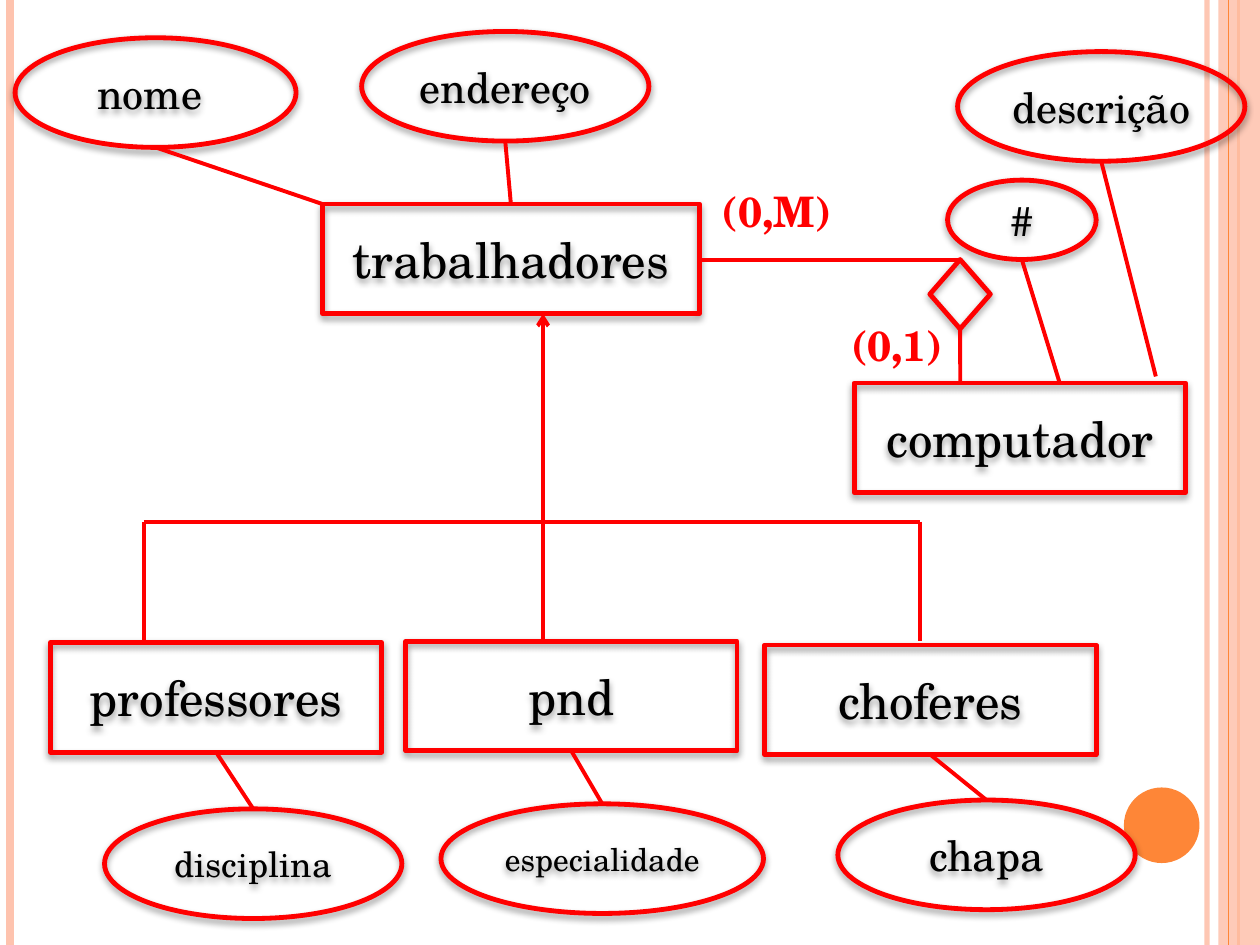
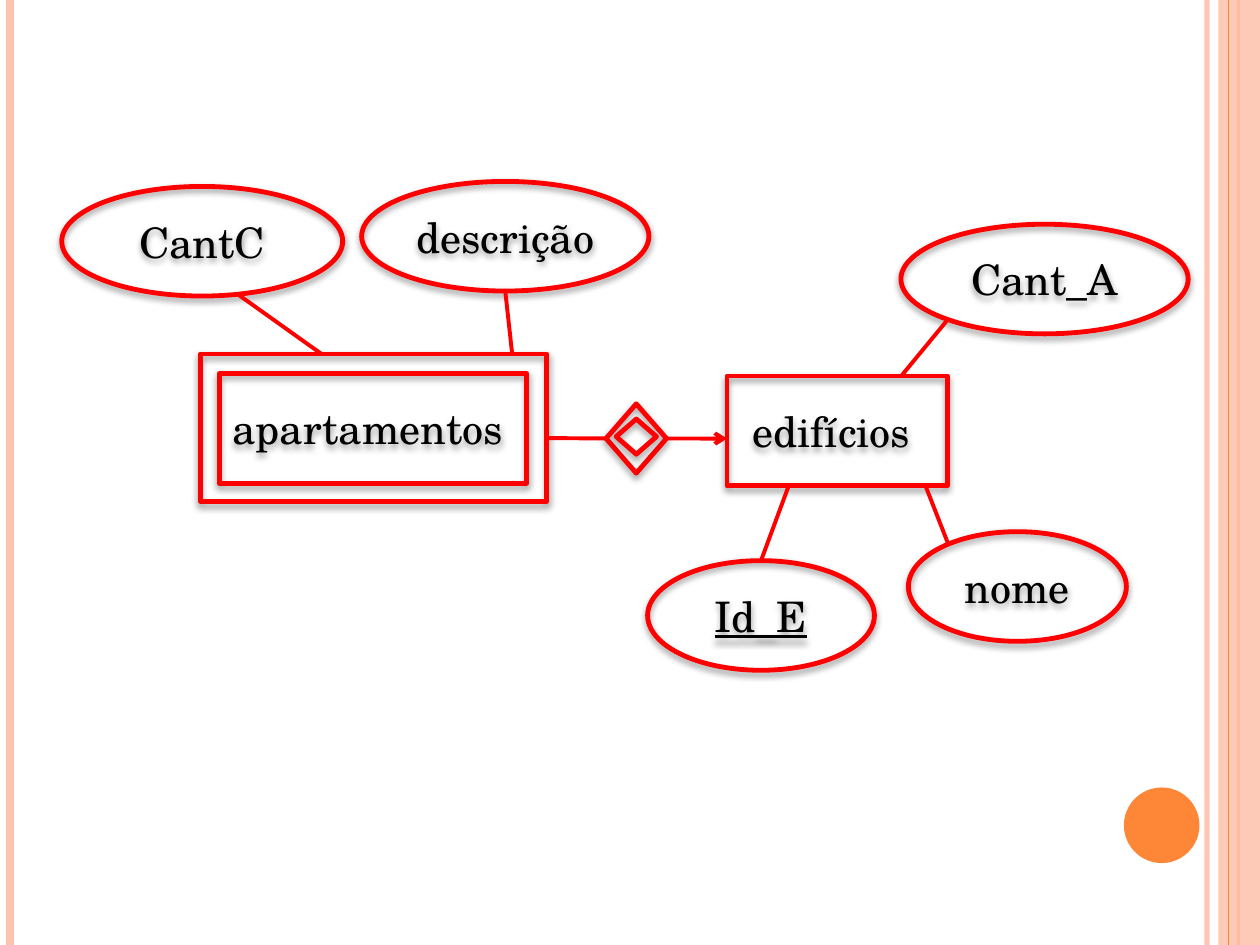
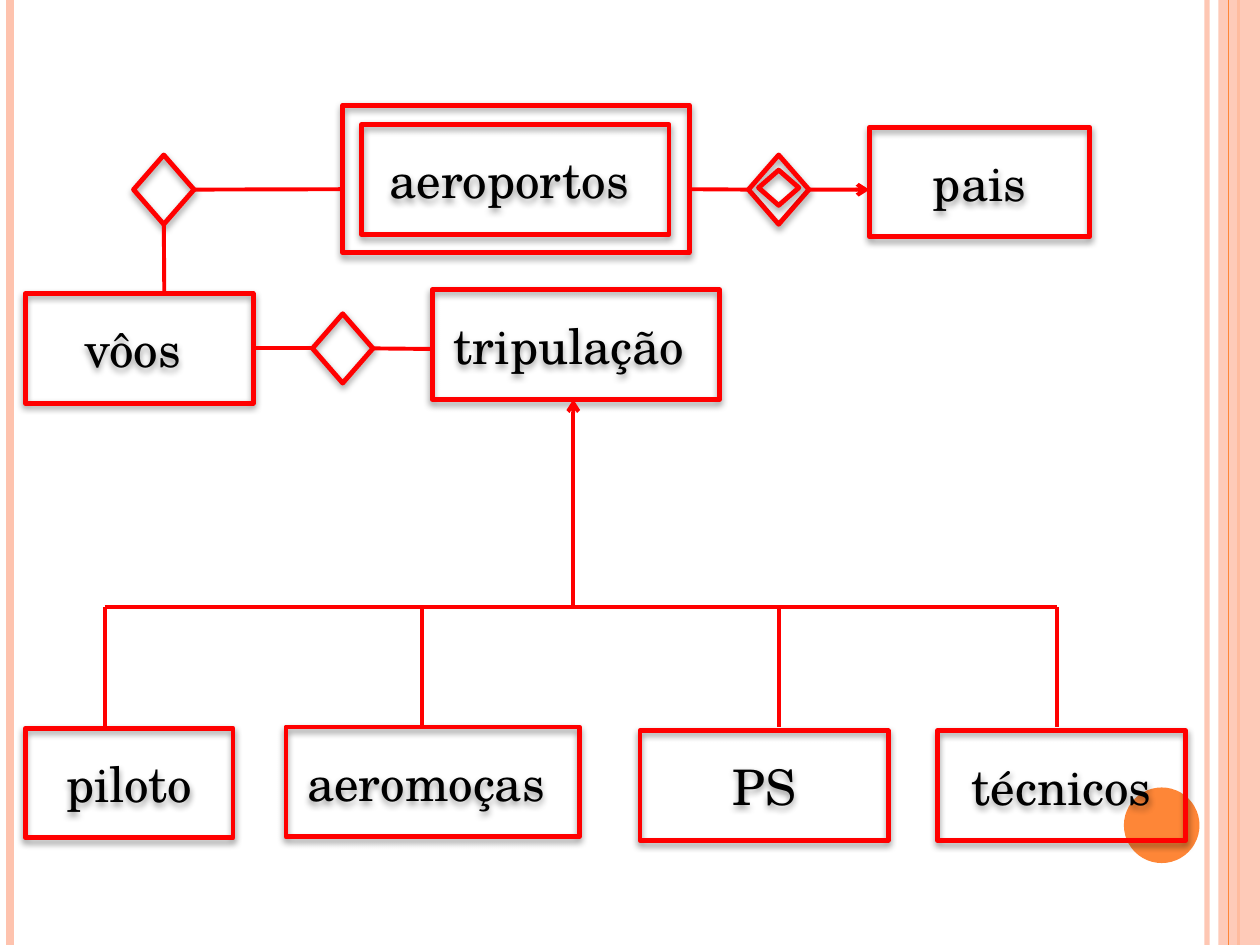
from dataclasses import dataclass

from lxml import etree
from pptx import Presentation
from pptx import util as u
from pptx.dml.color import RGBColor
from pptx.enum import shapes, text
from pptx.oxml import ns

RED = RGBColor(0xFF, 0x00, 0x00)
BLACK = RGBColor(0x00, 0x00, 0x00)
PEACH = RGBColor(0xFE, 0xC3, 0xAE)
ORANGE = RGBColor(0xFE, 0x86, 0x37)
FONT = "TeX Gyre Schola"

SLIDE_WIDTH, SLIDE_HEIGHT = u.Inches(10), u.Inches(7.5)
COLUMNS, ROWS = 100, 75
NODE_HEIGHT = 8.7
DIAMOND = (4.8, 5.5)

RECTANGLE = shapes.MSO_SHAPE.RECTANGLE
ELLIPSE = shapes.MSO_SHAPE.OVAL
RHOMBUS = shapes.MSO_SHAPE.DIAMOND


@dataclass(frozen=True)
class Box:
    """An area measured in grid columns and rows."""
    left: float
    top: float
    width: float
    height: float = NODE_HEIGHT

    def inner(self, left, top, width, height=NODE_HEIGHT):
        return Box(self.left + left, self.top + top, width, height)

    def point(self, across, down):
        """Grid point at the given shares of the width and height."""
        return self.left + across * self.width, self.top + down * self.height


def column(count):
    return round(SLIDE_WIDTH * count / COLUMNS)


def row(count):
    return round(SLIDE_HEIGHT * count / ROWS)


def place(box):
    return column(box.left), row(box.top), column(box.width), row(box.height)


def child(parent, tag, **attributes):
    return etree.SubElement(parent, ns.qn(tag), **attributes)


def set_opacity(properties, percent):
    for colour in properties.iter(ns.qn("a:srgbClr")):
        child(colour, "a:alpha", val=str(percent * 1000))


def add_drop_shadow(shape):
    effects = shape.element.spPr.find(ns.qn("a:effectLst"))
    shadow = child(effects, "a:outerShdw", blurRad=str(u.Pt(4)), dist=str(u.Pt(2)),
                   dir="5400000", rotWithShape="0")
    colour = child(shadow, "a:srgbClr", val=str(BLACK))
    child(colour, "a:alpha", val="40000")


def write(shape, words, size, colour, bold=None, underline=None):
    shape.text_frame.text = words
    para = shape.text_frame.paragraphs[0]
    for span in para.runs:
        font = span.font
        font.name, font.size, font.color.rgb = FONT, u.Pt(size), colour
        font.bold, font.underline = bold, underline
    return para


def node(page, kind, box, words="", size=24, underline=None):
    """Draw a red outlined figure of the diagram and return its box."""
    shape = page.shapes.add_shape(kind, *place(box))
    shape.fill.background()
    shape.line.color.rgb = RED
    shape.line.width = u.Pt(2.75)
    shape.shadow.inherit = False
    add_drop_shadow(shape)
    if words:
        para = write(shape, words, size, BLACK, underline=underline)
        para.alignment = text.PP_ALIGN.CENTER
        shape.text_frame.vertical_anchor = text.MSO_ANCHOR.MIDDLE
    return box


def entity(page, box, words, size=28):
    return node(page, RECTANGLE, box, words, size)


def attribute(page, box, words, size=24, underline=None):
    return node(page, ELLIPSE, box, words, size, underline)


def link(page, start, end, arrow=False, colour=RED, width=2.25, opacity=None):
    connector = page.shapes.add_connector(
        shapes.MSO_CONNECTOR.STRAIGHT,
        column(start[0]), row(start[1]), column(end[0]), row(end[1]))
    connector.line.color.rgb = colour
    connector.line.width = u.Pt(width)
    properties = connector.element.spPr
    if opacity:
        set_opacity(properties, opacity)
    if arrow:
        child(properties.find(ns.qn("a:ln")), "a:tailEnd", type="arrow")
    child(properties, "a:effectLst")


def cardinality(page, box, words):
    label = page.shapes.add_textbox(*place(box))
    label.text_frame.word_wrap = False
    label.text_frame.auto_size = text.MSO_AUTO_SIZE.SHAPE_TO_FIT_TEXT
    write(label, words, 24, RED, bold=True)


def solid(page, kind, box, colour):
    shape = page.shapes.add_shape(kind, *place(box))
    shape.fill.solid()
    shape.fill.fore_color.rgb = colour
    shape.line.fill.background()
    shape.shadow.inherit = False
    return shape


def side_bands(page, box):
    """Draw the vertical stripes and the round page mark."""
    def stripe(left, colour, width, opacity=None):
        start = box.left + left, box.top
        link(page, start, (start[0], box.top + box.height),
             colour=colour, width=width, opacity=opacity)

    stripe(95.8, PEACH, 3, 93)
    stripe(0.8, PEACH, 4.5)
    stripe(98.3, ORANGE, 1.5)
    band = solid(page, RECTANGLE, box.inner(96.7, 0, 3.3, box.height), PEACH)
    set_opacity(band.element.spPr, 87)
    stripe(97.5, ORANGE, 0.75)
    solid(page, ELLIPSE, box.inner(89.2, 62.5, 6, 6), ORANGE)


def specialization(page, box, drops, arrow_column, arrow_rows):
    """Draw a bar on top of the box, its drops, and the arrow to the parent."""
    link(page, box.point(0, 0), box.point(1, 0))
    for drop in drops:
        left = box.left + drop
        link(page, (left, box.top), (left, box.top + box.height))
    left = box.left + arrow_column
    start, end = (box.top + offset for offset in arrow_rows)
    link(page, (left, start), (left, end), arrow=True)


def weak_entity(page, box, weak_name, owner_name, size):
    """Draw a weak entity tied to its owner; return the boxes of both."""
    weak = entity(page, box.inner(0, 0, 27.5, 11.7), weak_name, size)
    node(page, RECTANGLE, box.inner(1.5, 1.55, 24.4))
    relation = node(page, RHOMBUS, box.inner(32.2, 3.95, *DIAMOND))
    node(page, RHOMBUS, box.inner(33, 5.15, 3.2, 2.8))
    owner = entity(page, box.inner(41.8, 1.75, 17.5), owner_name, size)
    link(page, weak.point(1, 0.57), relation.point(0, 0.5))
    link(page, relation.point(1, 0.5), owner.point(0, 0.57), arrow=True)
    return weak, owner


def workers(page, box):
    worker = entity(page, box.inner(24.4, 13.7, 29.9), "trabalhadores")
    name = attribute(page, box.inner(0, 0.5, 22.3), "nome ")
    address = attribute(page, box.inner(27.5, 0, 22.8), "endereço")
    link(page, worker.point(0, 0), name.point(0.5, 1))
    link(page, worker.point(0.5, 0), address.point(0.5, 1))


def worker_types(page, box):
    kinds = [
        ("professores", (0, 0.1), "disciplina", (4.3, 13.3, 23.6), 20),
        ("pnd", (28.2, 0), "especialidade", (31, 12.9, 25.6), 18),
        ("choferes", (56.7, 0.3), "chapa", (62.5, 12.6, 23.6), 24),
    ]
    for name, corner, detail, detail_area, size in kinds:
        kind = entity(page, box.inner(*corner, 26.3), name)
        oval = attribute(page, box.inner(*detail_area), detail, size)
        link(page, kind.point(0.5, 1), oval.point(0.5, 0))


def computers(page, box):
    computer = entity(page, box.inner(12.3, 26.3, 26.3), "computador")
    relation = node(page, RHOMBUS, box.inner(18.3, 16.5, *DIAMOND))
    number = attribute(page, box.inner(19.7, 10.2, 11.8, 6.3), "#")
    description = attribute(page, box.inner(20.5, 0, 22.8), "descrição ")
    top = relation.point(0.5, 0)
    link(page, (box.left, top[1]), top)
    link(page, relation.point(0.5, 1), computer.point(0.32, 0))
    link(page, computer.point(0.62, 0), number.point(0.5, 1))
    link(page, computer.point(0.91, -0.06), description.point(0.5, 1))
    cardinality(page, box.inner(0.8, 10.1, 10.8, 5), "(0,M)")
    cardinality(page, box.inner(11.1, 20.8, 9.4, 5), "(0,1)")


def workers_slide(page, box):
    workers(page, box.inner(1.2, 2.5, 54.3, 22.4))
    worker_types(page, box.inner(4, 50.9, 86.1, 21.6))
    computers(page, box.inner(55.5, 4.1, 43.3, 35))
    specialization(page, box.inner(11.4, 41.4, 61.6, 9.5),
                   (0, 61.6), 31.7, (9.5, -16.5))


def buildings_slide(page, box):
    flat, building = weak_entity(page, box.inner(15.9, 28.1, 59.3, 11.7),
                                 "apartamentos ", "edifícios ", 24)
    details = [
        ("CantC", (4.9, 14.8, 22.3), (0.63, 0.99), flat, (0.35, 0)),
        ("descrição", (28.7, 14.4, 22.8), (0.5, 1), flat, (0.9, 0)),
        ("nome", (72.1, 42.2, 17.3), (0.18, 0.1), building, (0.9, 1)),
        ("Cant_A", (71.5, 17.8, 22.8), (0.16, 0.88), building, (0.79, 0)),
        ("Id_E", (51.4, 44.5, 18), (0.5, 0), building, (0.28, 1)),
    ]
    for name, area, oval_end, owner, owner_end in details:
        is_key = name == "Id_E"
        oval = attribute(page, box.inner(*area), name, underline=is_key or None)
        link(page, owner.point(*owner_end), oval.point(*oval_end))


def flights(page, box, airport):
    crew = entity(page, box.inner(32.3, 10.7, 22.8), "tripulação ")
    flight = entity(page, box.inner(0, 11, 18.1), "vôos ")
    staffing = node(page, RHOMBUS, box.inner(22.8, 12.6, *DIAMOND))
    landing = node(page, RHOMBUS, box.inner(8.6, 0, *DIAMOND))
    link(page, flight.point(1, 0.5), staffing.point(0, 0.5))
    link(page, staffing.point(1, 0.5), crew.point(0, 0.54))
    link(page, landing.point(1, 0.5), airport.point(0, 0.57))
    link(page, landing.point(0.5, 1), flight.point(0.61, 0))


def crew_types(page, box):
    kinds = [
        ("piloto", 0, 0.1, 16.5),
        ("aeromoças ", 20.7, 0, 23.3),
        ("PS", 48.8, 0.3, 19.7),
        ("técnicos", 72.4, 0.3, 19.7),
    ]
    for name, left, top, width in kinds:
        entity(page, box.inner(left, top, width), name)


def airports_slide(page, box):
    airport, _ = weak_entity(page, box.inner(27.2, 8.35, 59.3, 11.7),
                             "aeroportos ", "pais", 28)
    flights(page, box.inner(2, 12.3, 55.1, 19.4), airport)
    crew_types(page, box.inner(2, 57.7, 92.1, 9))
    specialization(page, box.inner(8.3, 48.2, 75.6, 9.5),
                   (0, 25.2, 53.5, 75.6), 37.2, (0, -16.5))


def main():
    deck = Presentation()
    deck.slide_width, deck.slide_height = SLIDE_WIDTH, SLIDE_HEIGHT
    blank = deck.slide_layouts[6]
    whole = Box(0, 0, COLUMNS, ROWS)
    for draw in (workers_slide, buildings_slide, airports_slide):
        page = deck.slides.add_slide(blank)
        side_bands(page, whole)
        draw(page, whole)
    deck.save("out.pptx")


if __name__ == "__main__":
    main()
